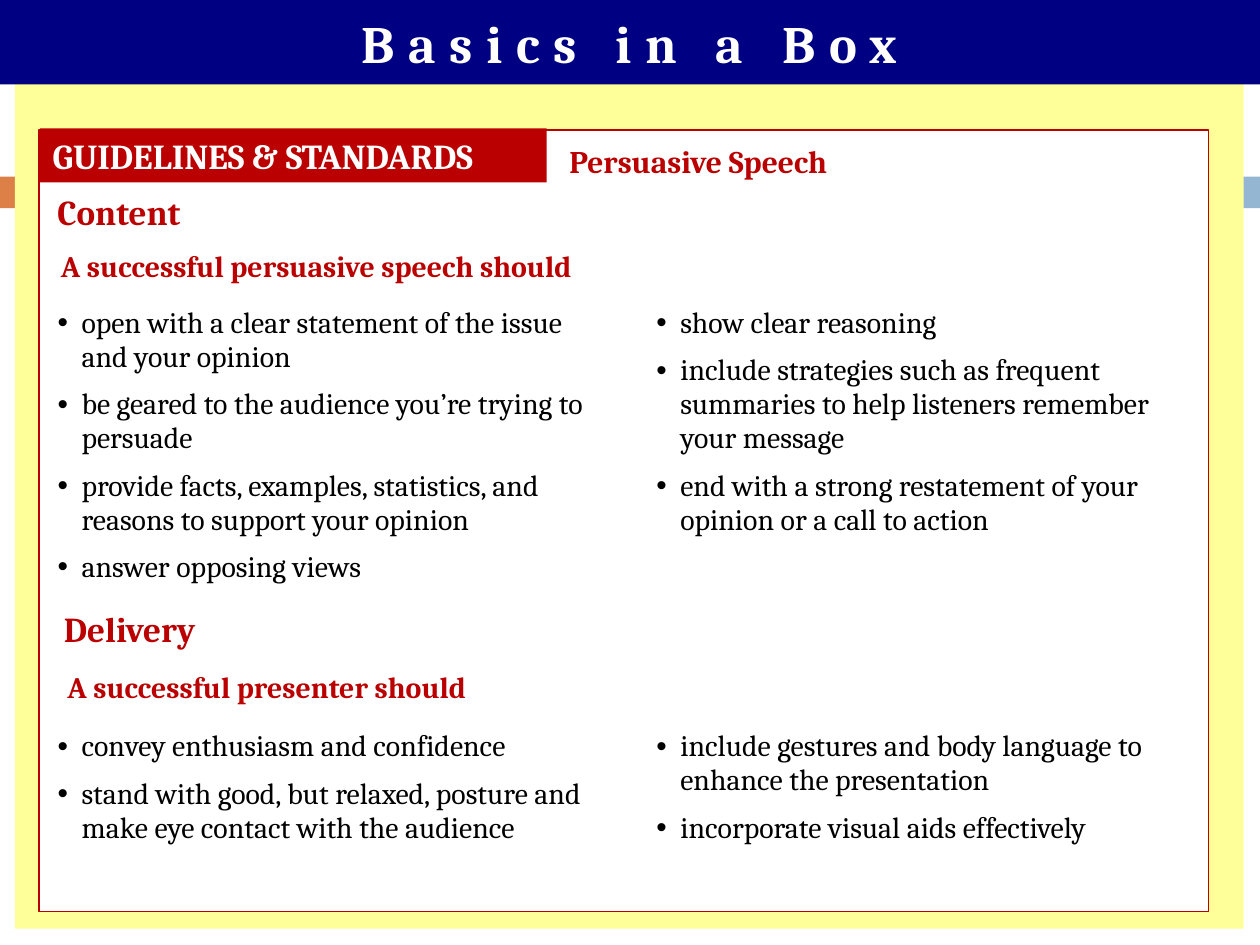
import dataclasses

import lxml.etree
import pptx
import pptx.dml.color
import pptx.enum.shapes
import pptx.enum.text
import pptx.oxml.ns
import pptx.util

Cm = pptx.util.Cm
ALIGN = pptx.enum.text.PP_ALIGN


@dataclasses.dataclass(frozen=True)
class Theme:
    font: str = "Cambria"
    navy: str = "000082"
    red: str = "BA0000"
    yellow: str = "FFFF99"
    orange: str = "DD8047"
    blue: str = "94B6D2"
    white: str = "FFFFFF"
    black: str = "000000"
    title: float = 30
    heading: float = 20
    topic: float = 18
    body: float = 17
    item_gap: float = 7.7
    tracking: float = 7.8


@dataclasses.dataclass(frozen=True)
class Box:
    left: float
    top: float
    width: float
    height: float

    def inner(self, left, top, width, height):
        return Box(self.left + left, self.top + top, width, height)

    def lengths(self):
        return [Cm(value) for value in dataclasses.astuple(self)]


THEME = Theme()


def rgb(color):
    return pptx.dml.color.RGBColor.from_string(color)


def write(para, text, *, size, color, bold=False, align=ALIGN.LEFT,
          line=1.0, before=0, tracking=0):
    para.alignment = align
    para.line_spacing = line
    para.space_before = pptx.util.Pt(before)
    span = para.add_run()
    span.text = text
    span.font.name = THEME.font
    span.font.size = pptx.util.Pt(size)
    span.font.bold = bold
    span.font.color.rgb = rgb(color)
    if tracking:
        span.font._element.set("spc", str(round(tracking * 100)))


def add_bullet(para, color):
    props = para._p.get_or_add_pPr()
    indent = Cm(0.48)
    props.set("marL", str(indent))
    props.set("indent", str(-indent))
    qn = pptx.oxml.ns.qn
    tint = lxml.etree.SubElement(props, qn("a:buClr"))
    lxml.etree.SubElement(tint, qn("a:srgbClr"), val=color)
    lxml.etree.SubElement(props, qn("a:buFont"), typeface="Arial")
    lxml.etree.SubElement(props, qn("a:buChar"), char="•")


def add_panel(page, box, fill, line=None):
    panel = page.shapes.add_shape(
        pptx.enum.shapes.MSO_SHAPE.RECTANGLE, *box.lengths())
    panel.shadow.inherit = False
    panel.fill.solid()
    panel.fill.fore_color.rgb = rgb(fill)
    if line:
        panel.line.color.rgb = rgb(line)
        panel.line.width = pptx.util.Pt(0.75)
    else:
        panel.line.fill.background()
    return panel


def add_label(page, box, text, **style):
    label = page.shapes.add_textbox(*box.lengths())
    label.text_frame.word_wrap = True
    write(label.text_frame.paragraphs[0], text, bold=True, **style)


def place(page, holder, box):
    holder.left, holder.top, holder.width, holder.height = box.lengths()
    page.shapes.element.append(holder.element)
    frame = holder.text_frame
    frame.word_wrap = True
    frame.auto_size = pptx.enum.text.MSO_AUTO_SIZE.NONE
    return frame


def draw_backdrop(page, box):
    add_panel(page, box.inner(0, 3.56, 1.47, 0.64), THEME.orange)
    add_panel(page, box.inner(1.65, 3.56, 23.75, 0.64), THEME.blue)
    add_panel(page, box.inner(0.3, 1.68, 24.77, 17.04), THEME.yellow)


def draw_title(page, box, text):
    holder = page.shapes.title
    holder.fill.solid()
    holder.fill.fore_color.rgb = rgb(THEME.navy)
    frame = place(page, holder, box)
    frame.vertical_anchor = pptx.enum.text.MSO_ANCHOR.MIDDLE
    write(frame.paragraphs[0], text, size=THEME.title, color=THEME.white,
          bold=True, align=ALIGN.CENTER, tracking=THEME.tracking)


def draw_card(page, box, tag, topic):
    add_panel(page, box, THEME.white, THEME.red)
    banner = add_panel(page, box.inner(0.02, -0.03, 10.21, 1.09), THEME.red)
    write(banner.text_frame.paragraphs[0], tag, size=THEME.heading,
          color=THEME.white, bold=True)
    add_label(page, box.inner(10.44, 0.05, 10.24, 1.09), topic,
              size=THEME.topic, color=THEME.red, line=1.1)


def draw_list(page, box, holder, items):
    frame = place(page, holder, box)
    frame.vertical_anchor = pptx.enum.text.MSO_ANCHOR.TOP
    for index, item in enumerate(items):
        para = frame.paragraphs[0] if index == 0 else frame.add_paragraph()
        write(para, item, size=THEME.body, color=THEME.black, line=0.95,
              before=THEME.item_gap if index else 0)
        add_bullet(para, THEME.black)


def draw_section(page, box, heading, lead, columns, holders, indent, step):
    add_label(page, box.inner(indent, 0, 13.79, 1.09), heading,
              size=THEME.heading, color=THEME.red)
    add_label(page, box.inner(indent + 0.07, step, 13.79, 0.97), lead,
              size=THEME.body, color=THEME.red)
    for index, (holder, items) in enumerate(zip(holders, columns)):
        area = box.inner(index * 12.07, 2 * step, 11.4, box.height - 2 * step)
        draw_list(page, area, holder, items)


def main():
    deck = pptx.Presentation()
    deck.slide_width, deck.slide_height = Cm(25.4), Cm(19.05)
    page = deck.slides.add_slide(deck.slide_layouts.get_by_name("Comparison"))
    bodies = [holder for holder in page.placeholders
              if holder.placeholder_format.idx > 0]

    draw_backdrop(page, Box(0, 0, 25.4, 19.05))
    draw_title(page, Box(0, 0, 25.4, 1.7), "Basics in a Box")
    draw_card(page, Box(0.79, 2.62, 23.57, 15.75),
              "GUIDELINES & STANDARDS", "Persuasive Speech")
    draw_section(
        page, Box(0.91, 3.71, 23.45, 8.33),
        "Content", "A successful persuasive speech should",
        [["open with a clear statement of the issue and your opinion",
          "be geared to the audience you’re trying to persuade",
          "provide facts, examples, statistics, and reasons to support "
          "your opinion",
          "answer opposing views"],
         ["show clear reasoning",
          "include strategies such as frequent summaries to help listeners "
          "remember your message",
          "end with a strong restatement of your opinion or a call to "
          "action"]],
        bodies[:2], indent=0, step=1.17)
    draw_section(
        page, Box(0.91, 12.12, 23.45, 5.76),
        "Delivery", "A successful presenter should",
        [["convey enthusiasm and confidence",
          "stand with good, but relaxed, posture and make eye contact with "
          "the audience"],
         ["include gestures and body language to enhance the presentation",
          "incorporate visual aids effectively"]],
        bodies[2:], indent=0.13, step=1.23)
    deck.save("out.pptx")


if __name__ == "__main__":
    main()
